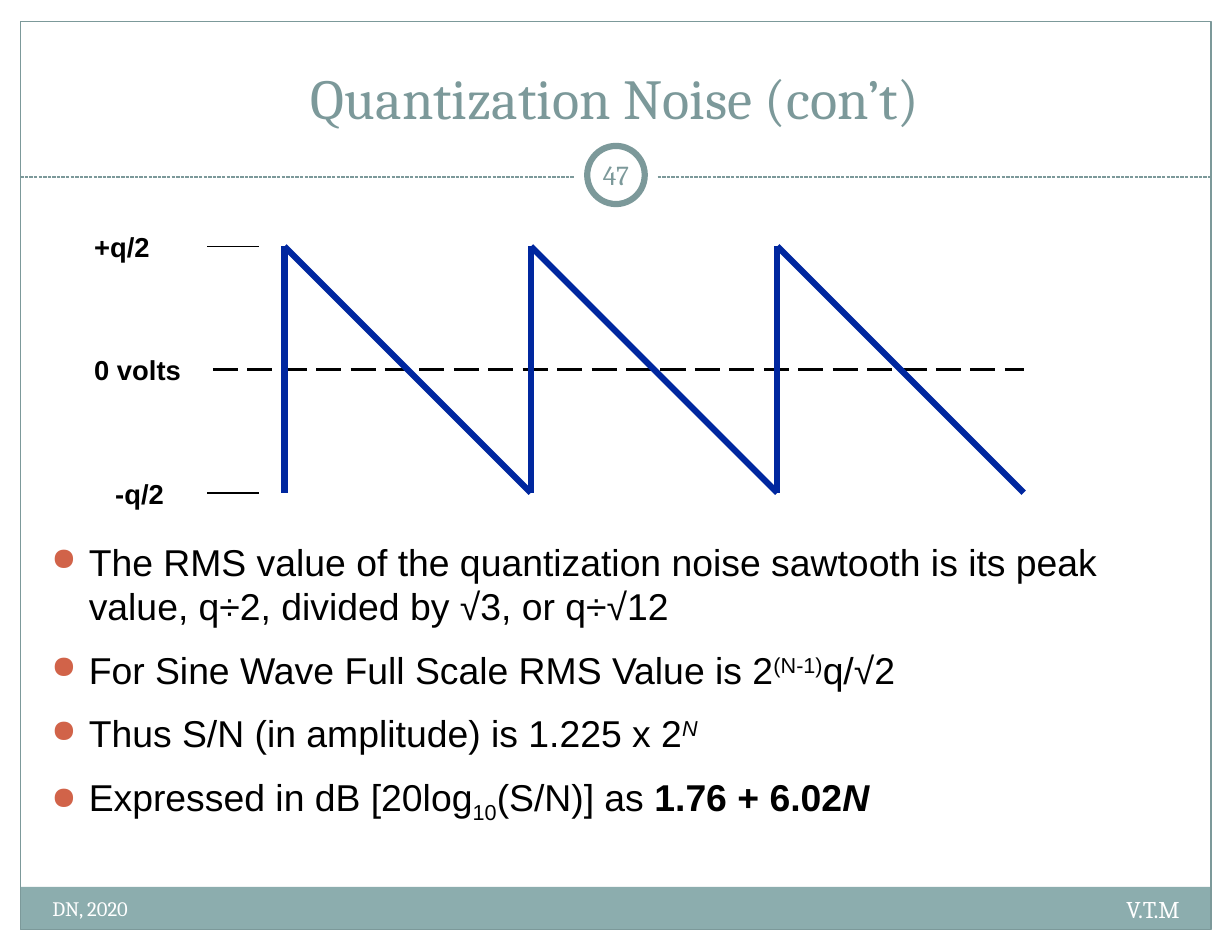
import pptx
import pptx.util
import pptx.oxml.ns
from pptx.dml.color import RGBColor
from pptx.enum.dml import MSO_LINE
from pptx.enum.shapes import MSO_CONNECTOR, MSO_SHAPE
from pptx.enum.text import MSO_ANCHOR, PP_ALIGN
from lxml import etree

Pt = pptx.util.Pt
qn = pptx.oxml.ns.qn

BLACK = RGBColor(0x00, 0x00, 0x00)
WHITE = RGBColor(0xFF, 0xFF, 0xFF)
SLATE = RGBColor(0x7C, 0x99, 0x9A)
BAND = RGBColor(0x8C, 0xAD, 0xAE)
NAVY = RGBColor(0x00, 0x27, 0x9F)
BULLET = "D16349"

SUPER, SUB = {"baseline": 30}, {"baseline": -25}
BULLETS = [
    [("The RMS value of the quantization noise sawtooth is its peak "
      "value, q÷2, divided by √3, or q÷√12", {})],
    [("For Sine Wave Full Scale RMS Value is 2", {}), ("(N-1)", SUPER), ("q/√2", {})],
    [("Thus S/N (in amplitude) is 1.225 x 2", {}), ("N", {"italic": True, **SUPER})],
    [("Expressed in dB [20log", {}), ("10", SUB), ("(S/N)] as ", {}),
     ("1.76 + 6.02", {"bold": True}), ("N", {"bold": True, "italic": True})],
]


def add_run(p, text, font="Cambria", size=24, color=BLACK, bold=False,
            italic=False, baseline=0):
    """Append a formatted run; baseline is a percentage, positive for superscript."""
    r = p.add_run()
    r.text = text
    r.font.name, r.font.size = font, Pt(size)
    r.font.bold, r.font.italic = bold, italic
    r.font.color.rgb = color
    if baseline:
        r._r.get_or_add_rPr().set("baseline", str(baseline * 1000))


class Deck:
    def __init__(self, width, height):
        self.prs = pptx.Presentation()
        self.prs.slide_width, self.prs.slide_height = Pt(width), Pt(height)
        self.s = self.prs.slides.add_slide(self.prs.slide_layouts[6])

    def shape(self, kind, x, y, w, h, fill=None, line=None, weight=0.75):
        sp = self.s.shapes.add_shape(kind, Pt(x), Pt(y), Pt(w), Pt(h))
        sp.shadow.inherit = False
        if fill is None:
            sp.fill.background()
        else:
            sp.fill.solid()
            sp.fill.fore_color.rgb = fill
        if line is None:
            sp.line.fill.background()
        else:
            sp.line.color.rgb = line
            sp.line.width = Pt(weight)

    def line(self, x1, y1, x2, y2, color=BLACK, weight=1, dash=None):
        c = self.s.shapes.add_connector(
            MSO_CONNECTOR.STRAIGHT, Pt(x1), Pt(y1), Pt(x2), Pt(y2))
        c.line.color.rgb = color
        c.line.width = Pt(weight)
        if dash is not None:
            c.line.dash_style = dash
        etree.SubElement(c._element.spPr, qn("a:effectLst"))

    def box(self, x, y, w, h, insets=(7.2, 3.6, 7.2, 3.6),
            anchor=MSO_ANCHOR.TOP, wrap=True):
        tf = self.s.shapes.add_textbox(Pt(x), Pt(y), Pt(w), Pt(h)).text_frame
        tf.word_wrap = wrap
        tf.vertical_anchor = anchor
        tf.margin_left, tf.margin_top, tf.margin_right, tf.margin_bottom = map(Pt, insets)
        return tf

    def text(self, text, x, y, w, h, align=PP_ALIGN.LEFT, box=None, **style):
        p = self.box(x, y, w, h, **(box or {})).paragraphs[0]
        p.alignment = align
        add_run(p, text, **style)

    def bullets(self, items, x, y, w, h, indent=24):
        tf = self.box(x, y, w, h, insets=(7.2, 2.9, 7.2, 0))
        for i, runs in enumerate(items):
            p = tf.add_paragraph() if i else tf.paragraphs[0]
            pPr = p._p.get_or_add_pPr()
            pPr.set("marL", str(Pt(indent)))
            pPr.set("indent", str(-Pt(indent)))
            color = etree.SubElement(pPr, qn("a:buClr"))
            etree.SubElement(color, qn("a:srgbClr"), val=BULLET)
            etree.SubElement(pPr, qn("a:buSzPct"), val="85000")
            etree.SubElement(pPr, qn("a:buChar"), char="●")
            p.space_before, p.space_after = Pt(6 if i else 0), Pt(6)
            for text, style in runs:
                add_run(p, text, font="Arial", **style)


def add_frame(d):
    left, right, rule_y, center = 13, 778.5, 113.8, 396
    d.shape(MSO_SHAPE.RECTANGLE, left, 570.2, right - left, 27.4, fill=BAND)
    d.shape(MSO_SHAPE.RECTANGLE, left, 13.7, right - left, 584, line=SLATE)
    d.line(left, rule_y, right, rule_y, SLATE, 0.75, MSO_LINE.SQUARE_DOT)
    d.shape(MSO_SHAPE.OVAL, center - 26.5, 85, 53, 55, fill=WHITE)
    d.shape(MSO_SHAPE.OVAL, center - 18.5, 93.8, 37, 37.4, WHITE, SLATE, 4)
    d.text("Quantization Noise (con’t)", 26, 20, 739.5, 67.7, PP_ALIGN.CENTER,
           {"anchor": MSO_ANCHOR.BOTTOM}, size=36.3, color=SLATE)
    d.text("47", center - 20, 92.7, 40, 39.6, PP_ALIGN.CENTER,
           {"anchor": MSO_ANCHOR.MIDDLE, "insets": (3.6,) * 4}, size=17.6, color=SLATE)
    d.text("V.T.M", 502, 571.7, 263.5, 32.4, PP_ALIGN.RIGHT, size=15.4, color=WHITE)
    d.text("DN, 2020", 26.6, 572.4, 310, 32.4, size=13.2, color=WHITE)


def add_sawtooth(d):
    start, period, top, teeth = 182.9, 158.4, 158.4, 3
    middle, bottom = top + period / 2, top + period
    d.line(136.8, middle, start + teeth * period, middle, weight=2,
           dash=MSO_LINE.LONG_DASH)
    for i in range(teeth):
        x = start + i * period
        d.line(x, bottom, x, top, NAVY, 4)
        d.line(x, top, x + period, bottom, NAVY, 4)
    for y in (top, bottom):
        d.line(166.3, y, 133.2, y)
    for label, x, y, w in (("+q/2", 52.6, top, 52), ("0 volts", 52.6, middle, 72),
                           ("-q/2", 66.2, bottom, 47.5)):
        d.text(label, x, y - 14.4, w, 29.5,
               box={"insets": (7.9, 4, 7.9, 4), "wrap": False},
               font="Arial", size=17.6, bold=True)


def main():
    d = Deck(792, 612)
    add_frame(d)
    add_sawtooth(d)
    d.bullets(BULLETS, 26, 343.4, 736.6, 200.9)
    d.prs.save("out.pptx")


if __name__ == "__main__":
    main()
